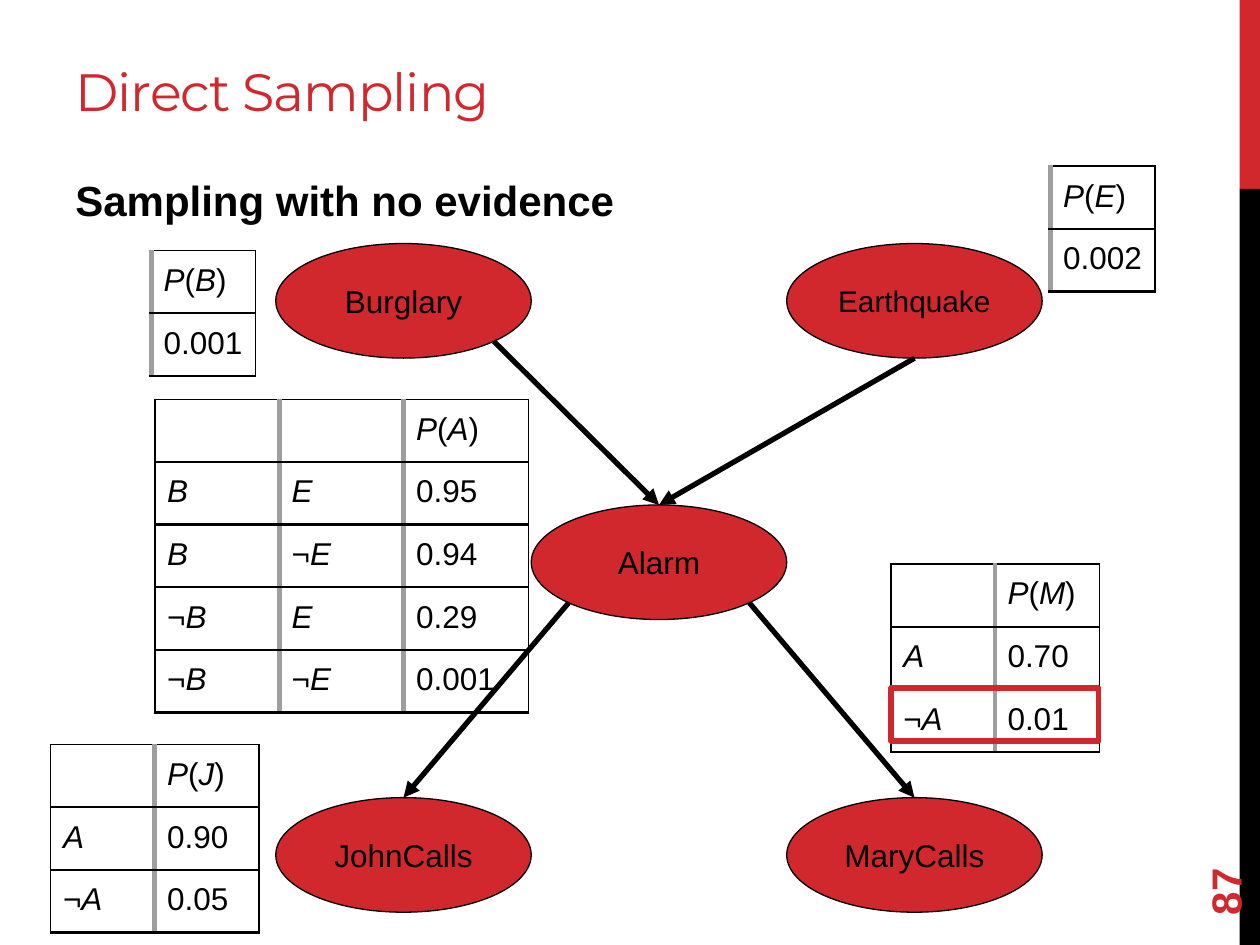
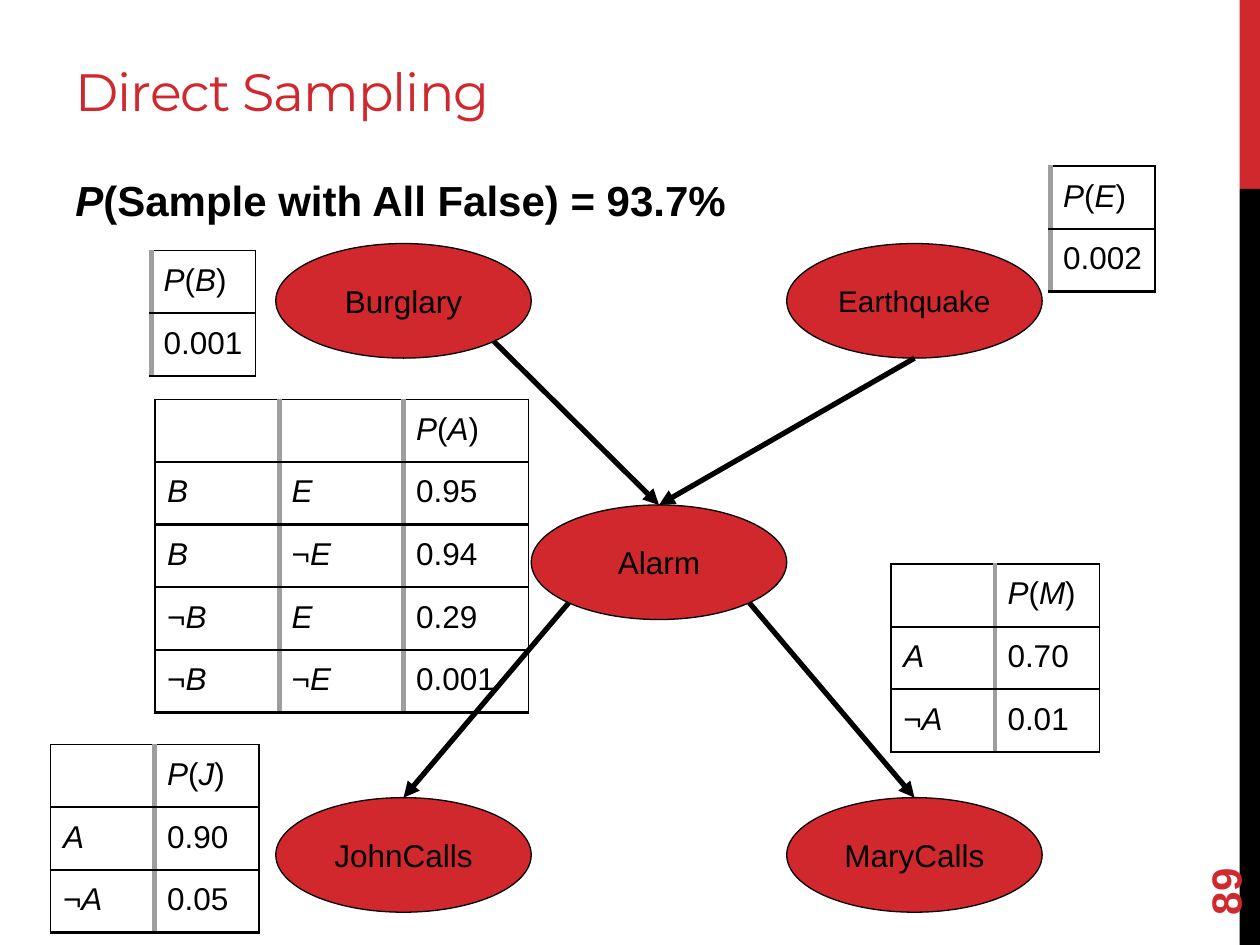
from math import cos, sin, radians
from pptx import Presentation
from pptx.dml.color import RGBColor as Rgb
from pptx.enum.shapes import MSO_SHAPE as Shape, MSO_CONNECTOR as Link
from pptx.enum.text import MSO_ANCHOR as Anchor, PP_ALIGN as Align
from pptx.oxml.ns import qn
from pptx.util import Cm, Pt
from lxml.etree import SubElement as Sub

HUES = {"red": "D1282E", "black": "000000", "gray": "9E9E9E"}
TITLE = "Direct Sampling"
WIDE, HIGH = 25.4, 19.05
BANDS = [("red", 0, 3.81), ("black", 3.81, 15.24)]

SLIDES = [
    {"head": "Sampling with no evidence", "page": "87",
     "mark": (17.96, 13.87, 4.19, 1.07)},
    {"head": "*P*(Sample with All False) = 93.7%", "page": "89", "mark": None},
]

NODE_W, NODE_H = 5.15, 2.31
COLS = [5.56 + NODE_W * i for i in range(3)]
ROWS = [4.91, 10.18, 16.08]
NODES = {
    "Burglary": (0, 0, 18),
    "Alarm": (1, 1, 18),
    "JohnCalls": (0, 2, 18),
    "MaryCalls": (2, 2, 18),
    "Earthquake": (2, 0, 17),
}
ARROWS = [
    ("Alarm", 135, "JohnCalls"),
    ("Alarm", 45, "MaryCalls"),
    ("Burglary", 45, "Alarm"),
    ("Earthquake", 90, "Alarm"),
]

ROW_H = 1.12
TABLES = [
    (3.12, 8.05, 2.51, [
        ["", "", "*P*(*A*)"],
        ["*B*", "*E*", "0.95"],
        ["*B*", "*¬E*", "0.94"],
        ["*¬B*", "*E*", "0.29"],
        ["*¬B*", "*¬E*", "0.001"]]),
    (21.18, 3.35, 2.1, [["*P*(*E*)"], ["0.002"]]),
    (3.05, 5.05, 2.1, [["*P*(*B*)"], ["0.001"]]),
    (1.02, 15.01, 2.1, [["", "*P*(*J*)"], ["*A*", "0.90"], ["*¬A*", "0.05"]]),
    (17.96, 11.37, 2.1, [["", "*P*(*M*)"], ["*A*", "0.70"], ["*¬A*", "0.01"]]),
]


def hue(name):
    return Rgb.from_string(HUES[name])


def box(*nums):
    return [Cm(n) for n in nums]


def write(para, text, size, color="black", face="Arial", bold=False):
    font = para.font
    font.size, font.name, font.bold = Pt(size), face, bold
    font.color.rgb = hue(color)
    for i, part in enumerate(text.split("*")):
        if part:
            run = para.add_run()
            run.text = part
            if i % 2:
                run.font.italic = True


def label(slide, place, text, size, anchor, **look):
    shape = slide.shapes.add_textbox(*box(*place))
    frame = shape.text_frame
    frame.word_wrap = True
    frame.vertical_anchor = anchor
    write(frame.paragraphs[0], text, size, **look)
    return shape


def draw(slide, kind, place, fill=None, line=None, width=0.75):
    shape = slide.shapes.add_shape(kind, *box(*place))
    shape.shadow.inherit = False
    if fill:
        shape.fill.solid()
        shape.fill.fore_color.rgb = hue(fill)
    else:
        shape.fill.background()
    if line:
        shape.line.color.rgb = hue(line)
        shape.line.width = Pt(width)
    else:
        shape.line.fill.background()
    return shape


def base(slide, head, page):
    for color, top, tall in BANDS:
        draw(slide, Shape.RECTANGLE, (24.99, top, 0.41, tall), color)
    title = label(slide, (1.27, 0.43, 22.45, 2.16), TITLE, 30, Anchor.BOTTOM,
                  color="red", face="Montserrat")
    run = title.text_frame.paragraphs[0].runs[0]
    run.font._element.set("spc", "-60")
    num = label(slide, (22.86, 16.36, 3.66, 1.02), page, 24, Anchor.MIDDLE,
                color="red", bold=True)
    num.rotation = 270
    label(slide, (1.27, 3.4, 22.45, 15.37), head, 24, Anchor.TOP, bold=True)


def node(slide, name):
    col, row, size = NODES[name]
    place = COLS[col], ROWS[row], NODE_W, NODE_H
    shape = draw(slide, Shape.OVAL, place, "red", "black")
    frame = shape.text_frame
    frame.margin_left = frame.margin_right = Cm(0.25)
    frame.margin_top = frame.margin_bottom = Cm(0.25)
    frame.vertical_anchor = Anchor.MIDDLE
    para = frame.paragraphs[0]
    para.alignment = Align.CENTER
    write(para, name, size)


def rim(name, angle):
    col, row, _ = NODES[name]
    turn = radians(angle)
    return (COLS[col] + NODE_W / 2 * (1 + cos(turn)),
            ROWS[row] + NODE_H / 2 * (1 + sin(turn)))


def arrow(slide, start, angle, end):
    ends = box(*rim(start, angle), *rim(end, -90))
    link = slide.shapes.add_connector(Link.STRAIGHT, *ends)
    link.line.color.rgb = hue("black")
    link.line.width = Pt(3)
    Sub(link.line._get_or_add_ln(), qn("a:tailEnd"), type="triangle")
    Sub(link._element.spPr, qn("a:effectLst"))


def edge(cell, side, color, width):
    line = Sub(cell._tc.get_or_add_tcPr(), qn("a:ln" + side), w=str(Pt(width)))
    Sub(Sub(line, qn("a:solidFill")), qn("a:srgbClr"), val=HUES[color])


def grid(slide, left, top, col_w, data):
    rows, cols = len(data), len(data[0])
    place = box(left, top, col_w * cols, ROW_H * rows)
    table = slide.shapes.add_table(rows, cols, *place).table
    table.first_row = table.horz_banding = False
    thin, rule, bar = ("black", 1), ("black", 1.5), ("gray", 3)
    for r, line in enumerate(data):
        for c, text in enumerate(line):
            cell = table.cell(r, c)
            cell.margin_left = cell.margin_right = Cm(0.25)
            cell.margin_top = cell.margin_bottom = Cm(0.25)
            edge(cell, "L", *(bar if c or cols == 1 else thin))
            edge(cell, "R", *(bar if c < cols - 1 else thin))
            edge(cell, "T", *(rule if r else thin))
            edge(cell, "B", *rule)
            cell.fill.background()
            write(cell.text_frame.paragraphs[0], text, 18)


def main():
    deck = Presentation()
    deck.slide_width, deck.slide_height = box(WIDE, HIGH)
    for item in SLIDES:
        slide = deck.slides.add_slide(deck.slide_layouts[6])
        base(slide, item["head"], item["page"])
        for name in NODES:
            node(slide, name)
        for link in ARROWS:
            arrow(slide, *link)
        for table in TABLES:
            grid(slide, *table)
        if item["mark"]:
            draw(slide, Shape.RECTANGLE, item["mark"], line="red", width=3)
    deck.save("out.pptx")


if __name__ == "__main__":
    main()
